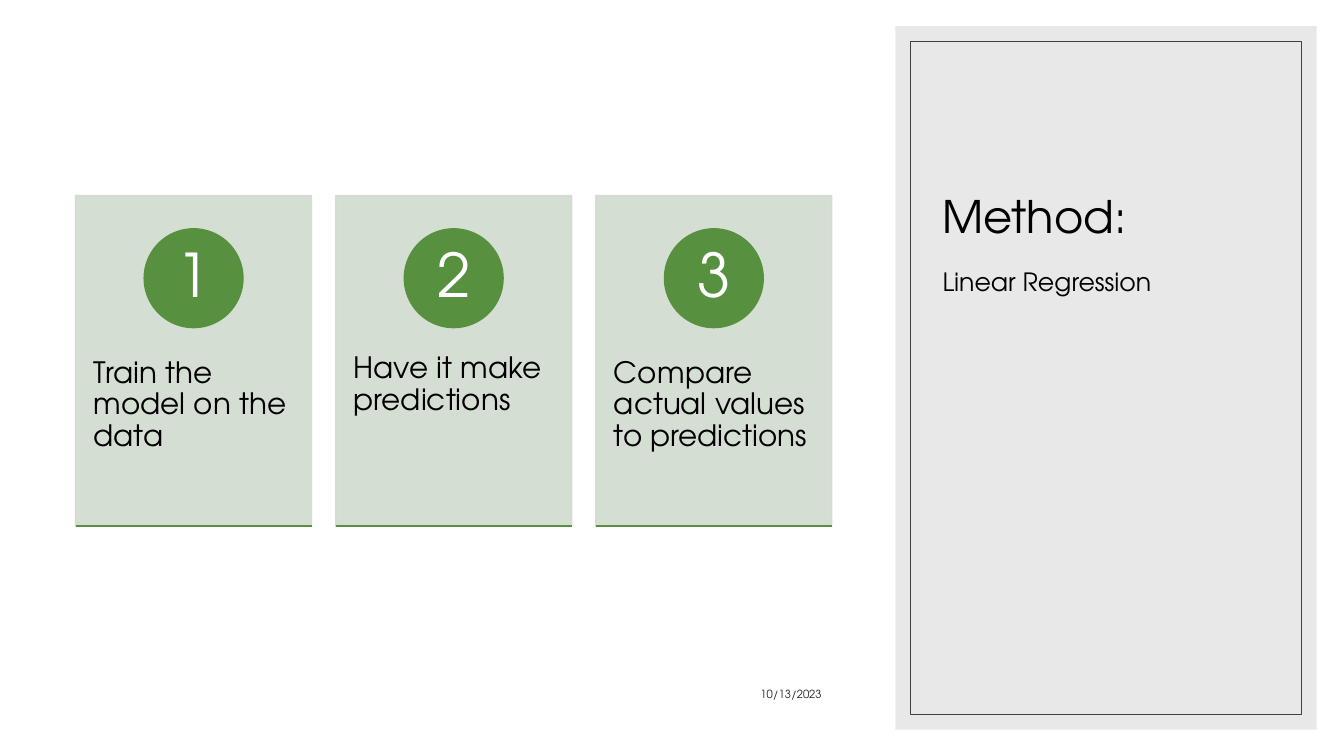
from dataclasses import dataclass

from lxml import etree
from pptx import Presentation
from pptx.dml.color import RGBColor
from pptx.enum.shapes import MSO_CONNECTOR, MSO_SHAPE
from pptx.enum.text import MSO_ANCHOR, PP_ALIGN
from pptx.oxml.ns import qn
from pptx.util import Inches, Pt

RECTANGLE, OVAL = MSO_SHAPE.RECTANGLE, MSO_SHAPE.OVAL
STRAIGHT = MSO_CONNECTOR.STRAIGHT
TOP, MIDDLE, BOTTOM = MSO_ANCHOR.TOP, MSO_ANCHOR.MIDDLE, MSO_ANCHOR.BOTTOM
LEFT, CENTER, RIGHT = PP_ALIGN.LEFT, PP_ALIGN.CENTER, PP_ALIGN.RIGHT


@dataclass(frozen=True)
class Theme:
    font: str = "TeX Gyre Adventor"
    text: str = "000000"
    date: str = "262626"
    accent: str = "57903F"
    on_accent: str = "FFFFFF"
    card: str = "D1DBCF"
    panel: str = "D9D9D9"
    frame: str = "404040"
    title_size: int = 32
    subtitle_size: int = 18
    step_size: int = 21
    number_size: int = 43
    date_size: int = 8


THEME = Theme()
SLIDE_WIDTH, SLIDE_HEIGHT = 13.33, 7.5

# Card grid
GRID_LEFT, GRID_TOP = 0.75, 1.94
CARD_WIDTH, CARD_HEIGHT, GUTTER = 2.34, 3.28, 0.24
CIRCLE, CIRCLE_DROP = 0.98, 0.33
NUMBER_BOX = 0.7
STEP_DROP, STEP_HEIGHT = 1.25, 1.97

# Side panel
PANEL = (8.88, 0.26, 4.18, 6.98)
FRAME_INSET = 0.15
PANEL_TEXT_INSET = 0.37
TITLE_TOP, TITLE_HEIGHT = 0.66, 1.8
SUBTITLE_TOP, SUBTITLE_HEIGHT = 2.56, 3.94

STEPS = (
    "Train the model on the data",
    "Have it make predictions",
    "Compare actual values to predictions",
)


def color(value):
    return RGBColor.from_string(value)


def inset(box, margin):
    """Shrink a (left, top, width, height) box by margin on every side."""
    left, top, width, height = box
    return left + margin, top + margin, width - 2 * margin, height - 2 * margin


def add_figure(slide, kind, box, fill=None, line=None, line_width=1, opacity=100):
    shape = slide.shapes.add_shape(kind, *map(Inches, box))
    shape.shadow.inherit = False
    if fill:
        shape.fill.solid()
        shape.fill.fore_color.rgb = color(fill)
    else:
        shape.fill.background()
    if line:
        shape.line.color.rgb = color(line)
        shape.line.width = Pt(line_width)
    else:
        shape.line.fill.background()
    if opacity < 100:
        for tint in shape._element.spPr.iter(qn("a:srgbClr")):
            etree.SubElement(tint, qn("a:alpha"), val=str(opacity * 1000))
    return shape


def add_text(slide, text, box, *, size, ink=THEME.text, align=LEFT, anchor=TOP,
             margins=(0.1, 0.05), line_spacing=1.0, before=0, after=0):
    """Add a text box; margins are (horizontal, vertical) in inches."""
    frame = slide.shapes.add_textbox(*map(Inches, box)).text_frame
    frame.word_wrap = True
    frame.vertical_anchor = anchor
    frame.margin_left = frame.margin_right = Inches(margins[0])
    frame.margin_top = frame.margin_bottom = Inches(margins[1])
    paragraph = frame.paragraphs[0]
    paragraph.alignment = align
    paragraph.line_spacing = line_spacing
    paragraph.space_before, paragraph.space_after = Pt(before), Pt(after)
    run = paragraph.add_run()
    run.text = text
    run.font.name = THEME.font
    run.font.size = Pt(size)
    run.font.color.rgb = color(ink)


def add_rule(slide, left, top, width):
    rule = slide.shapes.add_connector(
        STRAIGHT, Inches(left), Inches(top), Inches(left + width), Inches(top))
    rule.line.color.rgb = color(THEME.accent)
    rule.line.width = Pt(1)
    etree.SubElement(rule._element.spPr, qn("a:effectLst"))


def add_step_card(slide, column, text):
    left = GRID_LEFT + column * (CARD_WIDTH + GUTTER)
    circle = (left + (CARD_WIDTH - CIRCLE) / 2, GRID_TOP + CIRCLE_DROP, CIRCLE, CIRCLE)
    add_figure(slide, RECTANGLE, (left, GRID_TOP, CARD_WIDTH, CARD_HEIGHT),
               fill=THEME.card, line=THEME.card, opacity=90)
    add_text(slide, text, (left, GRID_TOP + STEP_DROP, CARD_WIDTH, STEP_HEIGHT),
             size=THEME.step_size, margins=(0.18, 0.36), line_spacing=0.9)
    add_figure(slide, OVAL, circle, fill=THEME.accent, line=THEME.accent)
    add_text(slide, str(column + 1), inset(circle, (CIRCLE - NUMBER_BOX) / 2),
             size=THEME.number_size, ink=THEME.on_accent, align=CENTER,
             anchor=MIDDLE, margins=(0.08, 0.01), line_spacing=0.9)
    add_rule(slide, left, GRID_TOP + CARD_HEIGHT, CARD_WIDTH)


def add_side_panel(slide, title, subtitle):
    add_figure(slide, RECTANGLE, PANEL, fill=THEME.panel, opacity=60)
    add_figure(slide, RECTANGLE, inset(PANEL, FRAME_INSET),
               line=THEME.frame, line_width=0.5)
    left, _, width, _ = inset(PANEL, PANEL_TEXT_INSET)
    add_text(slide, title, (left, TITLE_TOP, width, TITLE_HEIGHT),
             size=THEME.title_size, anchor=BOTTOM)
    add_text(slide, subtitle, (left, SUBTITLE_TOP, width, SUBTITLE_HEIGHT),
             size=THEME.subtitle_size, line_spacing=1.1, before=8)


def main():
    presentation = Presentation()
    presentation.slide_width = Inches(SLIDE_WIDTH)
    presentation.slide_height = Inches(SLIDE_HEIGHT)
    slide = presentation.slides.add_slide(presentation.slide_layouts[6])
    add_side_panel(slide, "Method:", "Linear Regression")
    add_text(slide, "10/13/2023", (6.11, 6.6, 2.14, 0.4), size=THEME.date_size,
             ink=THEME.date, align=RIGHT, anchor=BOTTOM, after=6)
    for column, text in enumerate(STEPS):
        add_step_card(slide, column, text)
    presentation.save("out.pptx")


if __name__ == "__main__":
    main()
